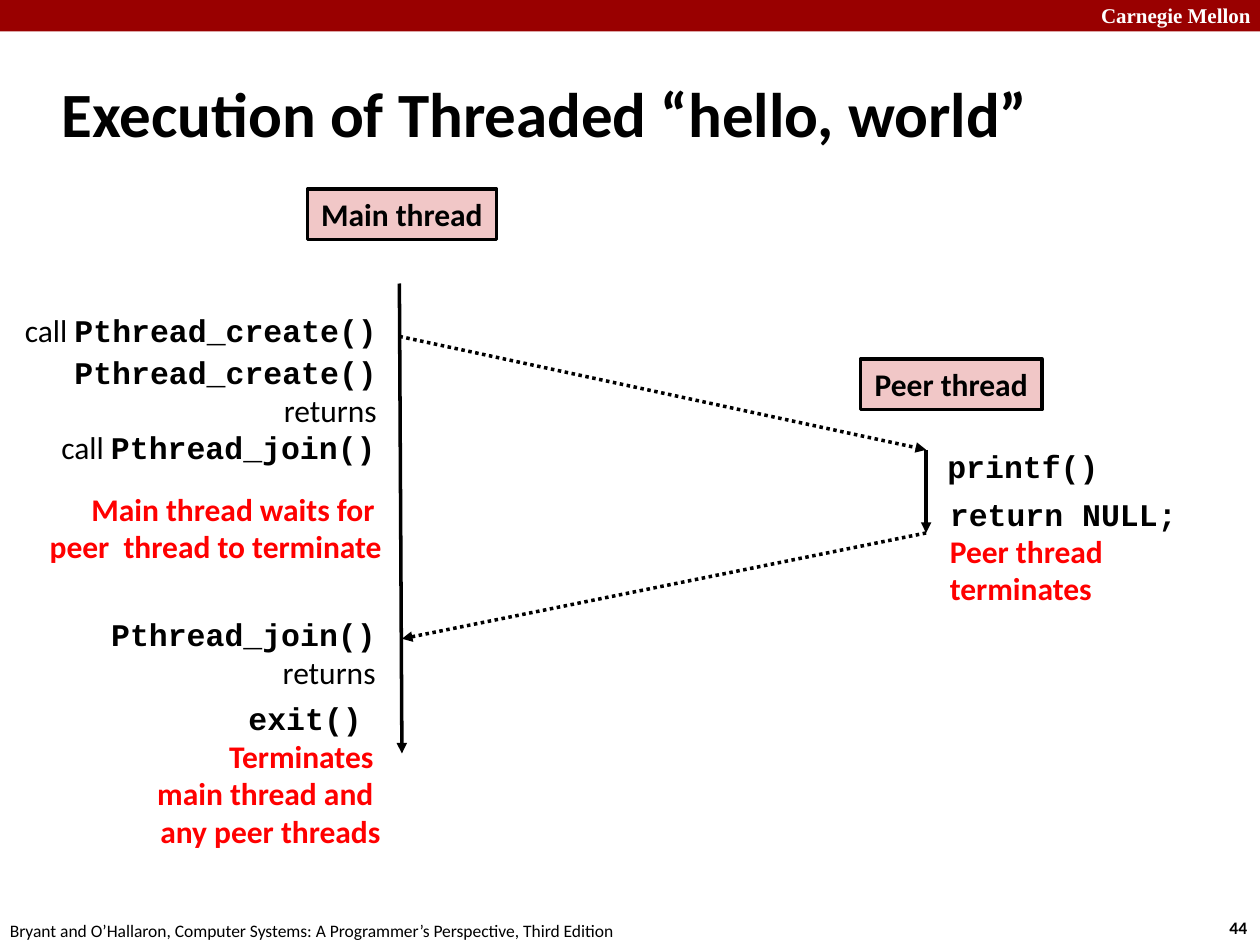
from dataclasses import dataclass

from lxml.etree import SubElement
from pptx import Presentation
from pptx.dml.color import RGBColor as RGB
from pptx.enum.dml import MSO_LINE as Dash
from pptx.enum.shapes import MSO_CONNECTOR as Link, MSO_SHAPE as Shape
from pptx.enum.text import MSO_ANCHOR as Anchor, MSO_AUTO_SIZE as Fit, PP_ALIGN as Align
from pptx.oxml.ns import qn
from pptx.util import Inches, Pt


@dataclass(frozen=True)
class Theme:
    """Colours, faces and type sizes of the slide."""
    ink: RGB = RGB(0, 0, 0)
    red: RGB = RGB(255, 0, 0)
    bar: RGB = RGB(0x99, 0, 0)
    pink: RGB = RGB(0xF1, 0xC7, 0xC7)
    white: RGB = RGB(255, 255, 255)
    sans: str = "Calibri"
    mono: str = "Courier New"
    serif: str = "Times New Roman"
    head: int = 36
    body: int = 18
    mark: int = 12
    foot: int = 10
    rule: int = 2


T = Theme()


@dataclass(frozen=True)
class Style:
    """Look of a piece of text."""
    face: str = T.sans
    size: int = T.body
    color: RGB = T.ink
    bold: bool = True


BOLD = Style()
PLAIN = Style(bold=False)
CODE = Style(face=T.mono)
NOTE = Style(color=T.red)
HEAD = Style(size=T.head)
MARK = Style(face=T.serif, size=T.mark, color=T.white)
PAGE = Style(size=T.foot)
FOOT = Style(size=T.foot, bold=False)


def paint(font, style):
    """Apply a style to a font."""
    font.name, font.size, font.bold = style.face, Pt(style.size), style.bold
    font.color.rgb = style.color


def write(shape, lines, align, anchor, wrap, fit=Fit.SHAPE_TO_FIT_TEXT):
    """Fill a shape with lines, each a list of (text, style) parts."""
    frame = shape.text_frame
    frame.word_wrap, frame.auto_size = wrap, fit
    frame.vertical_anchor = anchor
    for i, parts in enumerate(lines):
        para = frame.add_paragraph() if i else frame.paragraphs[0]
        para.alignment = align
        if len(parts) == 1:
            paint(para.font, parts[0][1])
        for text, style in parts:
            run = para.add_run()
            run.text = text
            if len(parts) > 1:
                paint(run.font, style)


def label(slide, spot, *lines, align=Align.LEFT, anchor=Anchor.TOP, wrap=False, fit=Fit.SHAPE_TO_FIT_TEXT):
    """Add a text box."""
    box = slide.shapes.add_textbox(*map(Inches, spot))
    write(box, lines, align, anchor, wrap, fit)


def block(slide, spot, fill):
    """Add a plain filled rectangle."""
    box = slide.shapes.add_shape(Shape.RECTANGLE, *map(Inches, spot))
    box.shadow.inherit = False
    box.fill.solid()
    box.fill.fore_color.rgb = fill
    box.line.fill.background()
    return box


def badge(slide, spot, text):
    """Add a framed thread name."""
    box = block(slide, spot, T.pink)
    box.line.color.rgb, box.line.width = T.ink, Pt(T.rule)
    write(box, [[(text, BOLD)]], Align.CENTER, Anchor.MIDDLE, False)


def arrow(slide, start, end, dash=None):
    """Add an arrow between two points."""
    line = slide.shapes.add_connector(Link.STRAIGHT, *map(Inches, start + end))
    line.line.color.rgb, line.line.width = T.ink, Pt(T.rule)
    if dash:
        line.line.dash_style = dash
    SubElement(line.line._get_or_add_ln(), qn("a:tailEnd"), type="triangle")
    SubElement(line._element.spPr, qn("a:effectLst"))


def frame(slide):
    """Add the bar, title and footer."""
    block(slide, (0, 0, 10, 0.25), T.bar)
    label(slide, (8.64, -0.03, 1.43, 0.3), [("Carnegie Mellon", MARK)], wrap=True)
    label(slide, (9.66, 7.23, 0.37, 0.27), [("44", PAGE)])
    label(slide, (-0.02, 7.25, 5.08, 0.27),
          [("Bryant and O’Hallaron, Computer Systems: A Programmer’s Perspective, Third Edition", FOOT)])
    label(slide, (0.39, 0.48, 8.3, 0.83), [("Execution of Threaded “hello, world”", HEAD)],
          anchor=Anchor.MIDDLE, wrap=True, fit=Fit.NONE)


def flow(slide):
    """Add the thread names and arrows."""
    badge(slide, (2.44, 1.5, 1.5, 0.4), "Main thread")
    badge(slide, (6.83, 2.85, 1.44, 0.4), "Peer thread")
    begin, end = (7.35, 3.57), (7.35, 4.23)
    arrow(slide, (3.17, 2.25), (3.19, 5.98))
    arrow(slide, begin, end)
    arrow(slide, (3.17, 2.67), begin, Dash.ROUND_DOT)
    arrow(slide, end, (3.19, 5.07), Dash.ROUND_DOT)


def calls(slide):
    """Add the steps of the main thread."""
    right, mid = Align.RIGHT, Anchor.MIDDLE
    label(slide, (0.01, 2.42, 3.08, 0.4), [("call ", PLAIN), ("Pthread_create()", CODE)], align=right)
    label(slide, (0.46, 2.75, 2.63, 0.71), [("Pthread_create()", CODE)], [("returns", PLAIN)], align=right)
    label(slide, (0.31, 3.35, 2.77, 0.4), [("call ", PLAIN), ("Pthread_join()", CODE)], align=right)
    label(slide, (0.25, 3.83, 2.88, 0.71), [("Main thread waits for ", NOTE)],
          [("peer  thread to terminate", NOTE)], align=right, anchor=mid)
    label(slide, (0.33, 4.83, 2.75, 0.71), [("Pthread_join() ", CODE), ("returns", PLAIN)],
          align=right, wrap=True)
    label(slide, (1.14, 5.49, 1.98, 1.31), [("exit() ", CODE)], [("Terminates ", NOTE)],
          [("main thread and ", NOTE)], [("any peer threads", NOTE)], align=right, anchor=mid)


def peer(slide):
    """Add the steps of the peer thread."""
    label(slide, (7.42, 3.5, 1.41, 0.4), [("printf()", CODE)], anchor=Anchor.MIDDLE)
    label(slide, (7.44, 3.88, 2.08, 0.4), [("return NULL;", CODE)], anchor=Anchor.MIDDLE)
    label(slide, (7.44, 4.17, 1.44, 0.71), [("Peer thread", NOTE)], [("terminates", NOTE)])


def main():
    """Build and save the slide."""
    deck = Presentation()
    deck.slide_width, deck.slide_height = Inches(10), Inches(7.5)
    slide = deck.slides.add_slide(deck.slide_layouts[6])
    for draw in (frame, flow, calls, peer):
        draw(slide)
    deck.save("out.pptx")


if __name__ == "__main__":
    main()
